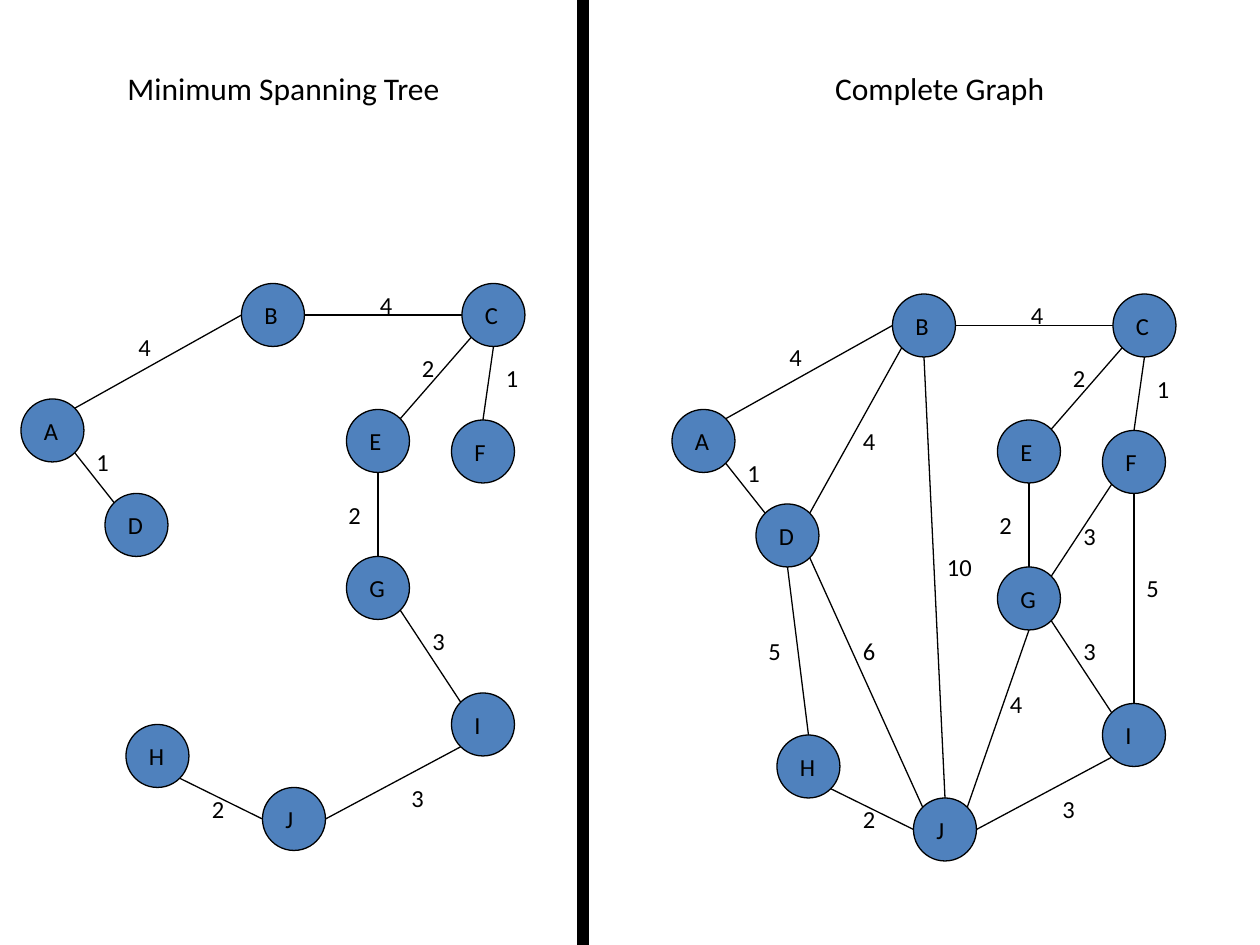
from math import sqrt

from lxml import etree
from pptx import Presentation
from pptx import util as u
from pptx.dml.color import RGBColor
from pptx.enum import shapes, text
from pptx.oxml.ns import qn

COLUMNS, ROWS = 120, 90
COLORS = {"node": "4F81BD", "ink": "000000"}

NODE_SIZE = 6
RADIUS = NODE_SIZE / 2
DIAGONAL = RADIUS / sqrt(2)
# Points on a node's rim, measured from its centre
RIM = {
    "N": (0, -RADIUS), "S": (0, RADIUS), "W": (-RADIUS, 0), "E": (RADIUS, 0),
    "NW": (-DIAGONAL, -DIAGONAL), "NE": (DIAGONAL, -DIAGONAL),
    "SW": (-DIAGONAL, DIAGONAL), "SE": (DIAGONAL, DIAGONAL),
}

# Node: column, row, width of its letter box
NODES = {
    "A": (2, 38, 4.1), "B": (23, 27, 4), "C": (44, 27, 4), "D": (10, 47, 4.1),
    "E": (33, 39, 3.8), "F": (43, 40, 3.7), "G": (33, 53, 4.1),
    "H": (12, 69, 4.1), "I": (43, 66, 3.2), "J": (25, 75, 3.4),
}

# Edge: start node, rim point, end node, rim point, weight, weight column, weight row
TREE_EDGES = [
    ("A", "NE", "B", "W", 4, 12, 31),
    ("A", "SE", "D", "NW", 1, 8, 42),
    ("B", "E", "C", "W", 4, 35, 27),
    ("C", "SW", "E", "NE", 2, 39, 33),
    ("C", "S", "F", "N", 1, 47, 34),
    ("E", "S", "G", "N", 2, 32, 47),
    ("G", "SE", "I", "NW", 3, 40, 59),
    ("J", "E", "I", "SW", 3, 38, 74),
    ("H", "SE", "J", "W", 2, 19, 75),
]
OTHER_EDGES = [
    ("B", "SW", "D", "NE", 4, 19, 39),
    ("B", "S", "J", "N", 10, 27, 51),
    ("D", "S", "H", "N", 5, 10, 59),
    ("D", "SE", "J", "NW", 6, 19, 59),
    ("F", "SW", "G", "NE", 3, 40, 48),
    ("F", "S", "I", "N", 5, 46, 53),
    ("J", "NE", "G", "S", 4, 33, 64),
]


class GraphSlide:
    font = "Calibri"
    line_width = u.Pt(0.75)

    def __init__(self, deck):
        self.slide = deck.slides.add_slide(deck.slide_layouts[6])
        self.column = deck.slide_width / COLUMNS
        self.row = deck.slide_height / ROWS

    def place(self, *lengths):
        """Turn alternating columns and rows into slide lengths."""
        units = (self.column, self.row) * 2
        return [u.Emu(round(n * unit)) for n, unit in zip(lengths, units)]

    def color(self, name):
        return RGBColor.from_string(COLORS[name])

    def outline(self, item):
        item.line.color.rgb = self.color("ink")
        item.line.width = self.line_width

    def shape(self, preset, fill, *box):
        item = self.slide.shapes.add_shape(preset, *self.place(*box))
        item.shadow.inherit = False
        item.fill.solid()
        item.fill.fore_color.rgb = self.color(fill)
        self.outline(item)

    def line(self, *ends):
        item = self.slide.shapes.add_connector(
            shapes.MSO_CONNECTOR.STRAIGHT, *self.place(*ends))
        self.outline(item)
        etree.SubElement(item.element.spPr, qn("a:effectLst"))

    def text(self, words, *box, size=14, wrap=False, align=text.PP_ALIGN.LEFT):
        frame = self.slide.shapes.add_textbox(*self.place(*box)).text_frame
        frame.text = words
        frame.word_wrap = wrap
        frame.auto_size = text.MSO_AUTO_SIZE.SHAPE_TO_FIT_TEXT
        paragraph = frame.paragraphs[0]
        paragraph.alignment = align
        font = paragraph.runs[0].font
        font.name, font.size = self.font, u.Pt(size)
        font.color.rgb = self.color("ink")

    def title(self, words, *box):
        self.text(words, *box, size=18, wrap=True, align=text.PP_ALIGN.CENTER)

    def graph(self, edges, left, top):
        def rim_point(node, side):
            column, row, _ = NODES[node]
            dx, dy = RIM[side]
            return left + column + RADIUS + dx, top + row + RADIUS + dy

        # Edges and their weights
        for start, start_side, end, end_side, weight, column, row in edges:
            self.line(*rim_point(start, start_side), *rim_point(end, end_side))
            width = 3.6 if weight < 10 else 4.8
            self.text(str(weight), left + column, top + row, width, 4)

        # Nodes and their letters
        for letter, (column, row, width) in NODES.items():
            x, y = left + column, top + row
            self.shape(shapes.MSO_SHAPE.OVAL, "node", x, y, NODE_SIZE, NODE_SIZE)
            self.text(letter, x + 1, y + 1, width, 4)


def main():
    deck = Presentation()
    deck.slide_width, deck.slide_height = u.Inches(10), u.Inches(7.5)
    page = GraphSlide(deck)

    # Left half: spanning tree
    page.title("Minimum Spanning Tree", 4, 6, 46, 6)
    page.graph(TREE_EDGES, 0, 0)

    # Divider
    page.shape(shapes.MSO_SHAPE.RECTANGLE, "ink", 55, 0, 1, ROWS)

    # Right half: all edges
    page.title("Complete Graph", 72, 6, 35, 6)
    page.graph(TREE_EDGES + OTHER_EDGES, 62, 1)

    deck.save("out.pptx")


if __name__ == "__main__":
    main()
